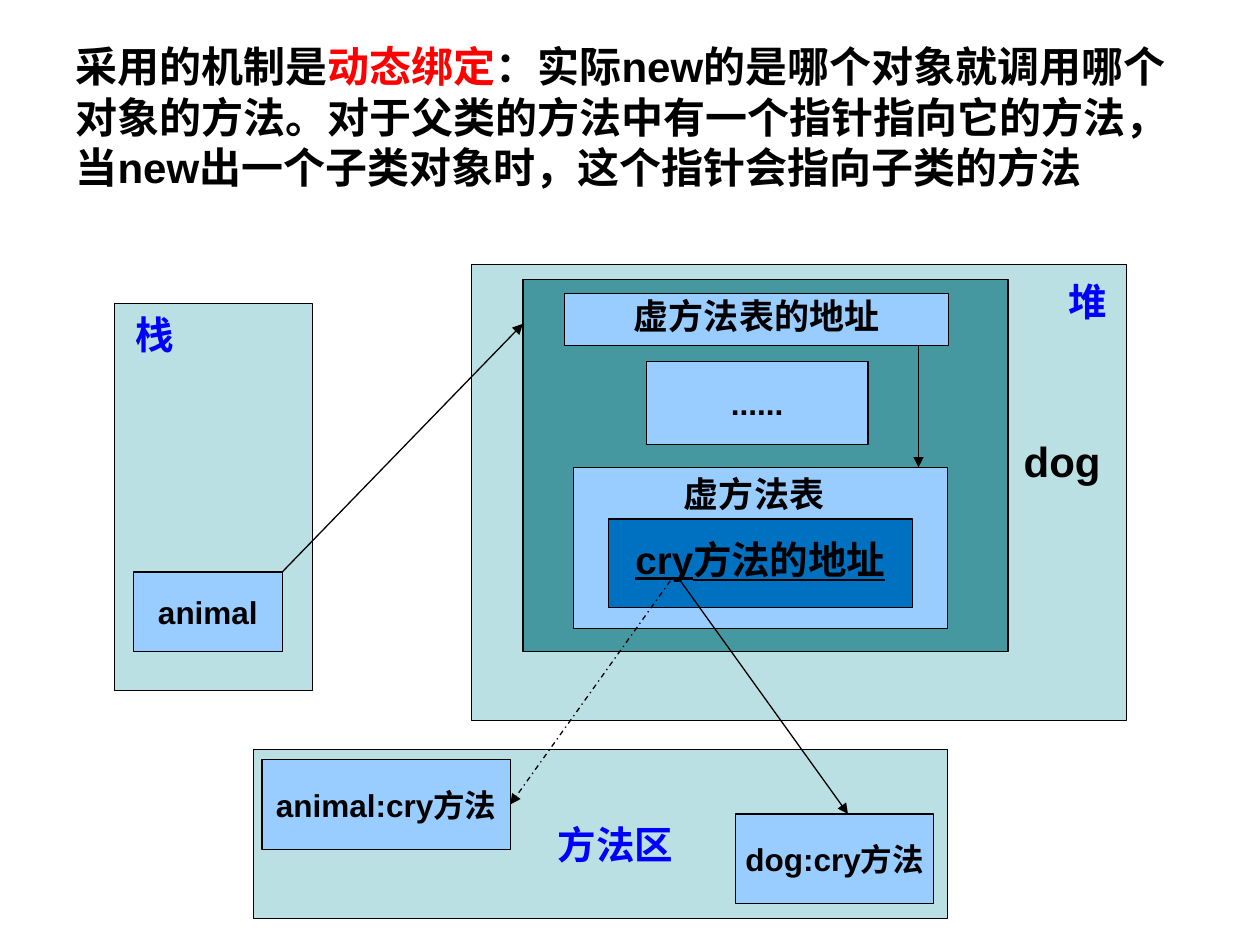
from lxml import etree
from pptx import Presentation
from pptx.dml.color import RGBColor
from pptx.enum.dml import MSO_LINE
from pptx.enum.shapes import MSO_CONNECTOR, MSO_SHAPE
from pptx.enum.text import MSO_ANCHOR, MSO_AUTO_SIZE, PP_ALIGN
from pptx.oxml.ns import qn
from pptx.util import Inches, Pt

RECTANGLE = MSO_SHAPE.RECTANGLE
STRAIGHT = MSO_CONNECTOR.STRAIGHT
MIDDLE = MSO_ANCHOR.MIDDLE
LEFT, CENTER = PP_ALIGN.LEFT, PP_ALIGN.CENTER
NO_FIT, GROW = MSO_AUTO_SIZE.NONE, MSO_AUTO_SIZE.SHAPE_TO_FIT_TEXT
DASH_DOT = MSO_LINE.DASH_DOT

COLORS = {
    "black": "000000", "red": "FF0000", "blue": "0000FF",
    "region": "BBE0E3", "object": "4597A0", "item": "99CCFF", "entry": "0070C0",
}
LATIN, CHINESE = "Arial", "Noto Sans CJK SC"

deck = Presentation()
deck.slide_width, deck.slide_height = Inches(10), Inches(7.5)
page = deck.slides.add_slide(deck.slide_layouts[5])

# Grid of 1000 columns by 750 rows
COLUMN = deck.slide_width // 1000
ROW = deck.slide_height // 750


def place(left, top, width, height):
    return left * COLUMN, top * ROW, width * COLUMN, height * ROW


def add_span(para, text, size, color="black", font=LATIN):
    span = para.add_run()
    span.text = text
    span.font.size = Pt(size)
    span.font.bold = True
    span.font.name = font
    span.font.color.rgb = RGBColor.from_string(COLORS[color])
    east_asian = etree.SubElement(span.font._element, qn("a:ea"))
    east_asian.set("typeface", CHINESE)
    return span


# Title
title = page.shapes.title
title.left, title.top, title.width, title.height = place(50, 30, 900, 125)
title.text_frame.word_wrap = True
title.text_frame.auto_size = NO_FIT
title.text_frame.vertical_anchor = MIDDLE
para = title.text_frame.paragraphs[0]
para.alignment = LEFT
add_span(para, "采用的机制是", 24)
add_span(para, "动态绑定", 24, "red", CHINESE)
add_span(para, "：实际new的是哪个对象就调用哪个对象的方法。对于父类的方法中有一个指针指向它的方法，"
               "当new出一个子类对象时，这个指针会指向子类的方法", 24)

# Memory regions and their contents: key, place, fill, text, size
boxes = [
    ("stack", (91, 241, 157, 307), "region", "", 0),
    ("heap", (374, 210, 520, 362), "region", "", 0),
    ("method area", (201, 595, 551, 134), "region", "", 0),
    ("animal", (106, 454, 118, 63), "item", "animal", 18),
    ("dog object", (415, 222, 385, 295), "object", "", 0),
    ("table address", (448, 233, 305, 41), "item", "虚方法表的地址", 20),
    ("animal cry", (208, 603, 197, 71), "item", "animal:cry方法", 18),
    ("dog cry", (584, 646, 157, 71), "item", "dog:cry方法", 18),
    ("other fields", (513, 287, 176, 66), "item", "......", 18),
    ("method table", (455, 371, 297, 128), "item", "", 0),
    ("cry address", (483, 412, 241, 70), "entry", "cry方法的地址", 22),
]
drawn = {}
for key, spot, fill, text, size in boxes:
    box = drawn[key] = page.shapes.add_shape(RECTANGLE, *place(*spot))
    box.shadow.inherit = False
    box.fill.solid()
    box.fill.fore_color.rgb = RGBColor.from_string(COLORS[fill])
    box.line.color.rgb = RGBColor.from_string(COLORS["black"])
    box.line.width = Pt(0.75)
    if text:
        box.text_frame.word_wrap = False
        box.text_frame.vertical_anchor = MIDDLE
        para = box.text_frame.paragraphs[0]
        para.alignment = CENTER
        span = add_span(para, text, size)
        if key.endswith("address"):
            para.line_spacing = 0.8
            para.space_before = Pt(size * 0.2)
        if key == "cry address":
            span.font.underline = True

# Labels: text, place, size, colour, wrap, alignment
labels = [
    ("栈", (98, 242, 55, 47), 22, "blue", True, LEFT),
    ("堆", (838, 216, 49, 47), 22, "blue", True, LEFT),
    ("方法区", (433, 647, 116, 47), 22, "blue", True, LEFT),
    ("dog", (802, 341, 82, 50), 24, "black", False, CENTER),
    ("虚方法表", (533, 370, 133, 44), 20, "black", False, LEFT),
]
for text, spot, size, color, wrap, alignment in labels:
    label = page.shapes.add_textbox(*place(*spot))
    label.text_frame.word_wrap = wrap
    label.text_frame.auto_size = GROW
    para = label.text_frame.paragraphs[0]
    para.alignment = alignment
    add_span(para, text, size, color)

# Arrows: start, end, dash, box joined at its right side
arrows = [
    ((224, 454), (415, 257), None, None),
    ((729, 274), (729, 371), None, None),
    ((532, 461), (405, 638), DASH_DOT, "animal cry"),
    ((540, 461), (673, 646), None, None),
]
for start, end, dash, target in arrows:
    arrow = page.shapes.add_connector(STRAIGHT, *place(*start, *end))
    arrow.line.color.rgb = RGBColor.from_string(COLORS["black"])
    arrow.line.width = Pt(0.75)
    if dash:
        arrow.line.dash_style = dash
    if target:
        arrow.end_connect(drawn[target], 3)
    properties = arrow._element.spPr
    head = etree.SubElement(properties.find(qn("a:ln")), qn("a:tailEnd"))
    head.set("type", "triangle")
    etree.SubElement(properties, qn("a:effectLst"))

deck.save("out.pptx")
